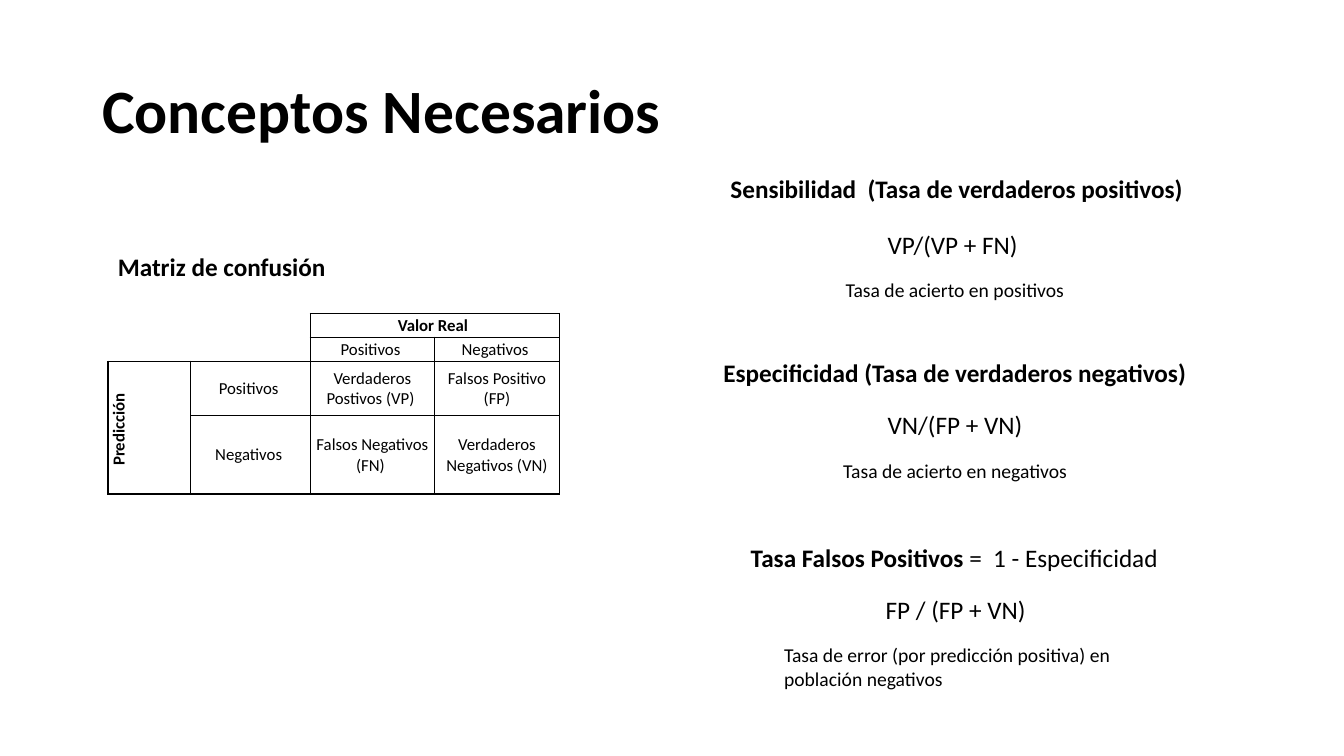
"""Build a slide with a confusion matrix and the rates derived from it."""
import pptx
import pptx.dml.color
import pptx.enum.text
import pptx.util
import lxml.etree
import pptx.oxml.ns

Cm = pptx.util.Cm
Pt = pptx.util.Pt
MIDDLE = pptx.enum.text.MSO_ANCHOR.MIDDLE
CENTER = pptx.enum.text.PP_ALIGN.CENTER
qn = pptx.oxml.ns.qn
COLORS = {"ink": "000000"}
FONT = "Calibri"


def style_run(run, size, bold):
    run.font.name = FONT
    run.font.size = Pt(size)
    run.font.bold = bold
    run.font.color.rgb = pptx.dml.color.RGBColor.from_string(COLORS["ink"])


def add_border(cell, side, visible):
    line = lxml.etree.SubElement(cell._tc.get_or_add_tcPr(), qn("a:ln" + side), w=str(Pt(1)))
    if visible:
        fill = lxml.etree.SubElement(line, qn("a:solidFill"))
        lxml.etree.SubElement(fill, qn("a:srgbClr"), val=COLORS["ink"])
    else:
        lxml.etree.SubElement(line, qn("a:noFill"))


deck = pptx.Presentation()
deck.slide_width = Cm(33.87)
deck.slide_height = Cm(19.05)
page = deck.slides.add_slide(deck.slide_layouts[6])

title = page.shapes.add_textbox(Cm(2.33), Cm(1.01), Cm(29.21), Cm(3.68))
title.text_frame.word_wrap = True
title.text_frame.vertical_anchor = MIDDLE
title.text_frame.text = "Conceptos Necesarios"
title.text_frame.paragraphs[0].line_spacing = 0.9
style_run(title.text_frame.paragraphs[0].runs[0], 44, True)

matrix_rows = [
    ["", "", "Valor Real ", ""],
    ["", "", "Positivos ", "Negativos "],
    ["Predicción ", "Positivos ", "Verdaderos Postivos (VP) ", "Falsos Positivo (FP)"],
    ["", "Negativos ", "Falsos Negativos (FN) ", "Verdaderos Negativos (VN)"],
]
column_widths = [2.09, 3.01, 3.13, 3.15]
row_heights = [0.6, 0.6, 1.37, 1.98]
matrix = page.shapes.add_table(
    4, 4, Cm(2.72), Cm(7.9), Cm(sum(column_widths)), Cm(sum(row_heights))
).table
matrix.first_row = False
matrix.horz_banding = False
for column, width in zip(matrix.columns, column_widths):
    column.width = Cm(width)
for row, height in zip(matrix.rows, row_heights):
    row.height = Cm(height)

for row_index, labels in enumerate(matrix_rows):
    for column_index, label in enumerate(labels):
        cell = matrix.cell(row_index, column_index)
        cell.margin_left = cell.margin_right = cell.margin_top = Cm(0.02)
        cell.margin_bottom = 0
        cell.vertical_anchor = MIDDLE
        in_corner = row_index < 2 and column_index < 2
        for side in "LRTB":
            add_border(cell, side, not in_corner or side in "RB")
        cell.fill.background()
        para = cell.text_frame.paragraphs[0]
        para.alignment = CENTER
        if label:
            para.text = label
            style_run(para.runs[0], 12, label in ("Valor Real ", "Predicción "))
        else:
            lxml.etree.SubElement(para._p, qn("a:endParaRPr"), sz="1200")

matrix.cell(0, 0).merge(matrix.cell(1, 1))
matrix.cell(0, 2).merge(matrix.cell(0, 3))
matrix.cell(2, 0).merge(matrix.cell(3, 0))
matrix.cell(2, 0)._tc.get_or_add_tcPr().set("vert", "vert270")

notes = [
    (2.72, 6.2, 6.38, 18, True, [("Matriz de confusión", True)]),
    (18.16, 4.24, 11.91, 18, False, [("Sensibilidad  (Tasa de verdaderos positivos)", True)]),
    (22.12, 5.66, 3.99, 18, False, [("VP/(VP + FN)", False)]),
    (21.06, 6.88, 6.1, 14, False, [("Tasa de acierto en positivos", False)]),
    (17.98, 8.88, 12.27, 18, False, [("Especificidad (Tasa de verdaderos negativos)", True)]),
    (22.12, 10.2, 3.96, 18, False, [("VN/(FP + VN)", False)]),
    (21.0, 11.45, 6.22, 14, False, [("Tasa de acierto en negativos", False)]),
    (18.67, 13.55, 10.87, 18, False,
     [("Tasa Falsos Positivos ", True), ("=  1 - Especificidad", False)]),
    (22.07, 14.84, 4.09, 18, False, [("FP / (FP + VN)", False)]),
    (19.51, 16.08, 9.19, 14, True,
     [("Tasa de error (por predicción positiva) en población negativos", False)]),
]
for left, top, width, size, wraps, spans in notes:
    box = page.shapes.add_textbox(Cm(left), Cm(top), Cm(width), Cm(1.02 if size == 18 else 0.86))
    box.text_frame.word_wrap = wraps
    box.text_frame.auto_size = pptx.enum.text.MSO_AUTO_SIZE.SHAPE_TO_FIT_TEXT
    for words, bold in spans:
        span = box.text_frame.paragraphs[0].add_run()
        span.text = words
        style_run(span, size, bold)

deck.save("out.pptx")
